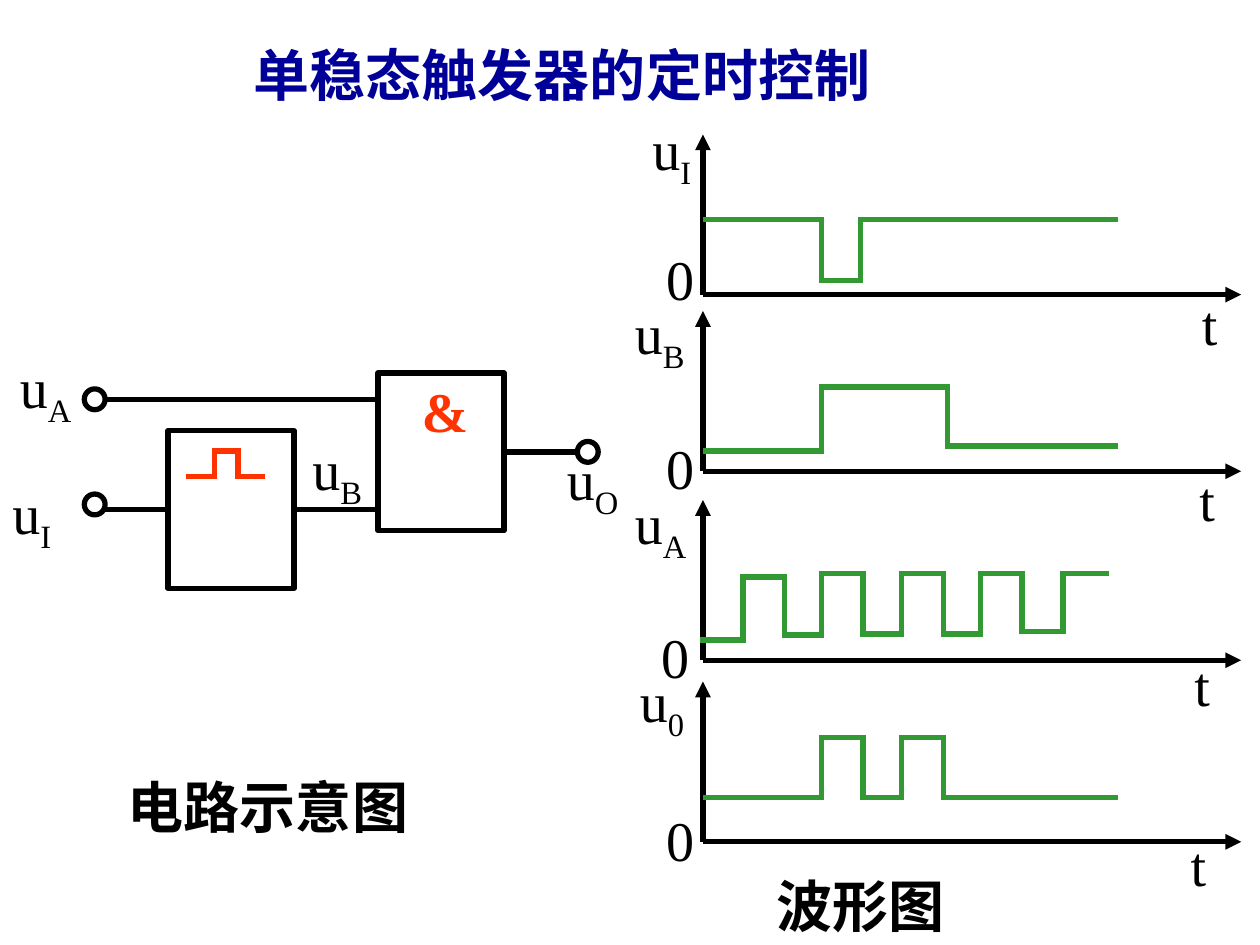
import dataclasses

import lxml.etree
import pptx
import pptx.dml.color
import pptx.enum.shapes
import pptx.enum.text
import pptx.oxml.ns
import pptx.util

Cm = pptx.util.Cm
SHAPE = pptx.enum.shapes.MSO_SHAPE
ALIGN = pptx.enum.text.PP_ALIGN


@dataclasses.dataclass(frozen=True)
class Theme:
    title: str = "000099"
    ink: str = "000000"
    paper: str = "FFFFFF"
    pulse: str = "FF3300"
    trace: str = "339933"
    font: str = "Times New Roman"
    text_size: int = 32
    stroke: int = 3


THEME = Theme()
LABEL_HEIGHT = 1.8
TEXT_HEIGHT = 1.63
TERMINAL = 0.42

# Each signal: subscript, label / zero / t offsets, start x, end x,
# levels above the axis and the x positions of the edges between them.
SIGNALS = [
    dict(subscript="I", label=(-1.27, -0.53), zero=(-0.99, -1.14), time=(9.81, -0.23),
         start=0.05, end=8.31, levels=[1.51, 0.28, 1.51], edges=[2.39, 3.18]),
    dict(subscript="B", label=(-1.62, -0.38), zero=(-0.99, -0.89), time=(9.76, -0.25),
         start=0.05, end=8.31, levels=[0.41, 1.7, 0.51], edges=[2.39, 4.93]),
    dict(subscript="A", label=(-1.62, -0.35), zero=(-1.09, -0.89), time=(9.66, -0.33),
         start=0, end=8.13,
         levels=[0.41, 1.68, 0.51, 1.75, 0.53, 1.75, 0.53, 1.75, 0.58, 1.75],
         edges=[0.81, 1.65, 2.39, 3.23, 4.01, 4.85, 5.59, 6.43, 7.26]),
    dict(subscript="0", label=(-1.52, -0.43), zero=(-0.99, -0.86), time=(9.58, -0.36),
         start=0.05, end=8.31, levels=[0.89, 2.11, 0.89, 2.11, 0.89],
         edges=[2.39, 3.23, 4.01, 4.85]),
]
PANEL_TOPS = [2.71, 6.27, 10.08, 13.74]


def rgb(value):
    return pptx.dml.color.RGBColor.from_string(value)


def add_text(slide, left, top, width, text, subscript="", color=THEME.ink,
             bold=False, align=ALIGN.LEFT):
    height = LABEL_HEIGHT if subscript else TEXT_HEIGHT
    box = slide.shapes.add_textbox(Cm(left), Cm(top), Cm(width), Cm(height))
    frame = box.text_frame
    frame.word_wrap = True
    frame.auto_size = pptx.enum.text.MSO_AUTO_SIZE.SHAPE_TO_FIT_TEXT
    paragraph = frame.paragraphs[0]
    paragraph.alignment = align
    font_format = dict(name=THEME.font, size=pptx.util.Pt(THEME.text_size), bold=bold)
    for part in filter(None, (text, subscript)):
        run = paragraph.add_run()
        run.text = part
        for key, value in font_format.items():
            setattr(run.font, key, value)
        run.font.color.rgb = rgb(color)
    if subscript:
        run.font._element.set("baseline", "-25000")


def add_line(slide, start, end, color=THEME.ink, arrow=False, cap="flat"):
    line = slide.shapes.add_connector(
        pptx.enum.shapes.MSO_CONNECTOR.STRAIGHT, *map(Cm, (*start, *end)))
    line.line.color.rgb = rgb(color)
    line.line.width = pptx.util.Pt(THEME.stroke)
    properties = line._element.spPr
    outline = properties.find(pptx.oxml.ns.qn("a:ln"))
    outline.set("cap", cap)
    if arrow:
        lxml.etree.SubElement(outline, pptx.oxml.ns.qn("a:tailEnd"), type="triangle")
    lxml.etree.SubElement(properties, pptx.oxml.ns.qn("a:effectLst"))
    return line


def add_trace(slide, points, color):
    for start, end in zip(points, points[1:]):
        add_line(slide, start, end, color, cap="sq")


def add_outline(slide, preset, left, top, width, height):
    shape = slide.shapes.add_shape(preset, *map(Cm, (left, top, width, height)))
    shape.shadow.inherit = False
    shape.fill.solid()
    shape.fill.fore_color.rgb = rgb(THEME.paper)
    shape.line.color.rgb = rgb(THEME.ink)
    shape.line.width = pptx.util.Pt(THEME.stroke)
    return shape


def add_terminal(slide, x, y):
    add_outline(slide, SHAPE.OVAL, x - TERMINAL / 2, y - TERMINAL / 2, TERMINAL, TERMINAL)


def build_circuit(slide, left, top):
    block_width, block_height = 2.54, 3.18
    gate_x, gate_y = left + 7.62, top + 0.53
    mono_x, mono_y = left + 3.39, top + 1.69
    input_x, output_x = left + 1.91, left + 11.85
    wire_a = top + 1.06
    wire_i = mono_y + block_height / 2
    wire_o = gate_y + block_height / 2
    radius = TERMINAL / 2

    # Blocks and terminals
    gate = add_outline(slide, SHAPE.RECTANGLE, gate_x, gate_y, block_width, block_height)
    mono = add_outline(slide, SHAPE.RECTANGLE, mono_x, mono_y, block_width, block_height)
    add_terminal(slide, input_x, wire_a)
    add_terminal(slide, input_x, top + 3.18)
    add_terminal(slide, output_x, wire_o)

    # Wires
    add_line(slide, (input_x + radius, wire_a), (gate_x, wire_a))
    add_line(slide, (input_x + radius, wire_i), (mono_x, wire_i)).end_connect(mono, 1)
    add_line(slide, (mono_x + block_width, wire_i),
             (gate_x, wire_i)).begin_connect(mono, 3)
    add_line(slide, (gate_x + block_width, wire_o),
             (output_x - radius, wire_o)).begin_connect(gate, 3)

    # Pulse symbol and gate sign
    low, high = mono_y + 0.92, mono_y + 0.41
    pulse = [(0.42, low), (0.93, low), (0.93, high), (1.41, high), (1.41, low), (1.89, low)]
    add_trace(slide, [(mono_x + x, y) for x, y in pulse], THEME.pulse)
    add_text(slide, gate_x + 0.63, gate_y - 0.05, 1.48, "&", color=THEME.pulse, bold=True)

    # Signal names and caption
    for subscript, x, y, width in [("A", 0.15, 0, 2.33), ("I", 0, 2.54, 2.33),
                                   ("B", 6.05, 1.65, 2.33), ("O", 11.18, 1.85, 1.75)]:
        add_text(slide, left + x, top + y, width, "u", subscript)
    add_text(slide, left + 2.33, top + 8.45, 6.56, "电路示意图", bold=True)


def build_waveform(slide, left, top, width, height, signal):
    base = top + height
    add_line(slide, (left, base), (left + width, base), arrow=True)
    add_line(slide, (left, base), (left, top), arrow=True)

    # Trace: one level between each pair of neighbouring edges
    stops = [signal["start"], *signal["edges"], signal["end"]]
    points = [(left + x, base - level)
              for level, *span in zip(signal["levels"], stops, stops[1:])
              for x in span]
    add_trace(slide, points, THEME.trace)

    # Axis labels
    for text, subscript, (dx, dy), y in [("u", signal["subscript"], signal["label"], top),
                                         ("0", "", signal["zero"], base),
                                         ("t", "", signal["time"], base)]:
        add_text(slide, left + dx, y + dy, 1.91, text, subscript)


def main():
    deck = pptx.Presentation()
    deck.slide_width, deck.slide_height = Cm(25.4), Cm(19.05)
    slide = deck.slides.add_slide(deck.slide_layouts[6])
    add_text(slide, 4.45, 0.69, 13.77, "单稳态触发器的定时控制",
             color=THEME.title, bold=True, align=ALIGN.CENTER)
    build_circuit(slide, 0, 6.99)
    for top, signal in zip(PANEL_TOPS, SIGNALS):
        build_waveform(slide, 14.17, top, 10.85, 3.23, signal)
    add_text(slide, 14.81, 17.45, 5.08, "波形图", bold=True, align=ALIGN.CENTER)
    deck.save("out.pptx")


if __name__ == "__main__":
    main()
